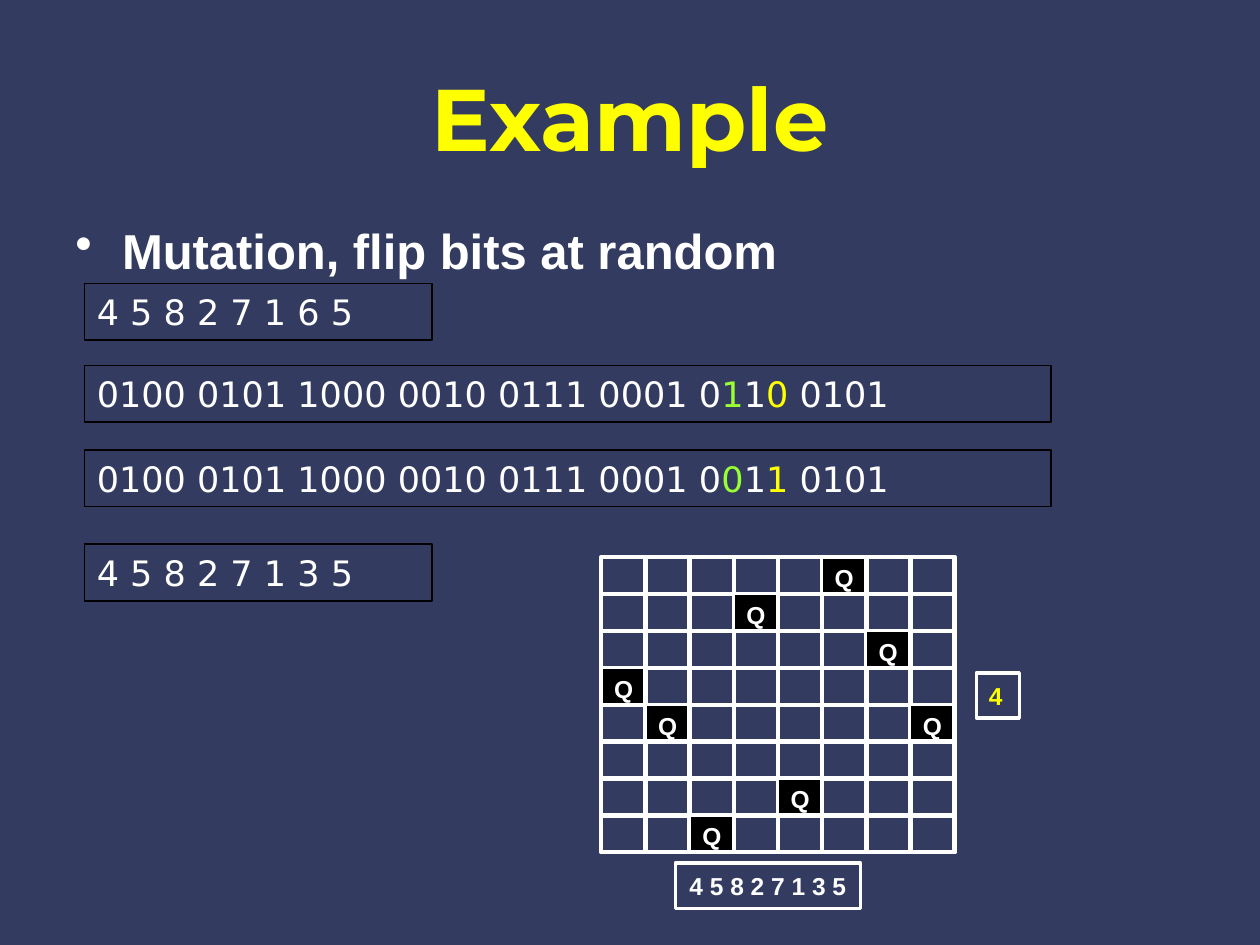
from lxml import etree
from pptx import Presentation
from pptx.dml.color import RGBColor
from pptx.enum.shapes import MSO_CONNECTOR, MSO_SHAPE
from pptx.enum.text import MSO_ANCHOR, MSO_AUTO_SIZE, PP_ALIGN
from pptx.oxml.ns import qn
from pptx.util import Inches, Pt

NAVY = RGBColor(0x33, 0x3C, 0x60)
YELLOW = RGBColor(0xFF, 0xFF, 0x00)
GREEN = RGBColor(0x99, 0xFF, 0x33)
WHITE = RGBColor(0xFF, 0xFF, 0xFF)
BLACK = RGBColor(0x00, 0x00, 0x00)

# Content
TITLE = "Example"
BULLET = "Mutation, flip bits at random"
PARENT = "4 5 8 2 7 1 6 5"
CHILD = "4 5 8 2 7 1 3 5"
BITS = "0100 0101 1000 0010 0111 0001 0"
FITNESS = "4"

# Top, width and coloured runs of each chromosome box
CHROMOSOMES = [
    (2.25, 2.76, [(PARENT, WHITE)]),
    (2.9, 7.67, [(BITS, WHITE), ("1", GREEN), ("1", WHITE), ("0", YELLOW), (" 0101", WHITE)]),
    (3.57, 7.67, [(BITS, WHITE), ("0", GREEN), ("1", WHITE), ("1", YELLOW), (" 0101", WHITE)]),
    (4.32, 2.76, [(CHILD, WHITE)]),
]

# Board geometry
SIZE = 8
BOARD_LEFT, BOARD_TOP, BOARD_WIDTH, BOARD_HEIGHT = 4.77, 4.42, 2.8, 2.34
COLUMN_STEP, ROW_STEP = BOARD_WIDTH / SIZE, BOARD_HEIGHT / SIZE
CELL_WIDTH, CELL_HEIGHT = 0.36, 0.3


def set_font(font, name, size, color=None, bold=False):
    font.name, font.size, font.bold = name, Pt(size), bold
    if color is not None:
        font.color.rgb = color


def add_box(shapes, left, top, width, height, line_color, line_width, fill=None):
    box = shapes.add_shape(MSO_SHAPE.RECTANGLE, Inches(left), Inches(top),
                           Inches(width), Inches(height))
    box.shadow.inherit = False
    box.line.color.rgb = line_color
    box.line.width = Pt(line_width)
    if fill is None:
        box.fill.background()
    else:
        box.fill.solid()
        box.fill.fore_color.rgb = fill
    return box


def write_label(box, text, color, align, anchor, wrap):
    frame = box.text_frame
    frame.word_wrap = wrap
    frame.vertical_anchor = anchor
    paragraph = frame.paragraphs[0]
    paragraph.text = text
    paragraph.alignment = align
    set_font(paragraph.font, "Arial", 14, color, True)


def add_line(shapes, x1, y1, x2, y2):
    line = shapes.add_connector(MSO_CONNECTOR.STRAIGHT, Inches(x1), Inches(y1),
                                Inches(x2), Inches(y2))
    line.line.color.rgb = WHITE
    line.line.width = Pt(2)
    etree.SubElement(line._element.spPr, qn("a:effectLst"))


def add_heading(slide):
    title = slide.shapes.title
    title.left, title.top = Inches(0.5), Inches(0.3)
    title.width, title.height = Inches(9), Inches(1.25)
    title.text_frame.vertical_anchor = MSO_ANCHOR.MIDDLE
    paragraph = title.text_frame.paragraphs[0]
    paragraph.text = TITLE
    paragraph.alignment = PP_ALIGN.CENTER
    set_font(paragraph.font, "Montserrat", 50, YELLOW, True)


def add_bullet(slide):
    box = slide.shapes.add_textbox(Inches(0.5), Inches(1.75), Inches(8.25), Inches(0.67))
    box.text_frame.word_wrap = True
    paragraph = box.text_frame.paragraphs[0]
    paragraph.text = BULLET
    paragraph.line_spacing = 0.9
    paragraph.space_before = Pt(5.6)
    set_font(paragraph.font, "Arial", 28, WHITE, True)
    properties = paragraph._p.get_or_add_pPr()
    properties.set("marL", str(Inches(0.37)))
    properties.set("indent", str(-Inches(0.37)))
    bullet = etree.Element(qn("a:buChar"), char="•")
    properties.find(qn("a:defRPr")).addprevious(bullet)


def add_chromosome(slide, top, width, runs):
    box = add_box(slide.shapes, 0.67, top, width, 0.45, BLACK, 1)
    frame = box.text_frame
    frame.word_wrap = True
    frame.auto_size = MSO_AUTO_SIZE.SHAPE_TO_FIT_TEXT
    frame.vertical_anchor = MSO_ANCHOR.MIDDLE
    paragraph = frame.paragraphs[0]
    paragraph.alignment = PP_ALIGN.LEFT
    set_font(paragraph.font, "DejaVu Sans", 20)
    for text, color in runs:
        run = paragraph.add_run()
        run.text = text
        set_font(run.font, "DejaVu Sans", 20, color)


def add_board(slide):
    shapes = slide.shapes.add_group_shape().shapes
    # Each digit of the child is the row of the queen in that column
    queens = [(int(digit) - 1, column) for column, digit in enumerate(CHILD.split())]
    cells = [(row, column) for row in range(SIZE) for column in range(SIZE)]
    # Queens come last so that they lie over their neighbours
    for row, column in sorted(cells, key=lambda cell: cell in queens):
        has_queen = (row, column) in queens
        cell = add_box(shapes, BOARD_LEFT + column * COLUMN_STEP, BOARD_TOP + row * ROW_STEP,
                       CELL_WIDTH, CELL_HEIGHT, WHITE, 2, BLACK if has_queen else None)
        if has_queen:
            write_label(cell, "Q", WHITE, PP_ALIGN.CENTER, MSO_ANCHOR.TOP, True)

    # Grid lines
    right, bottom = BOARD_LEFT + BOARD_WIDTH, BOARD_TOP + BOARD_HEIGHT
    for index in range(SIZE + 1):
        x = BOARD_LEFT + index * COLUMN_STEP
        y = BOARD_TOP + index * ROW_STEP
        add_line(shapes, x, BOARD_TOP, x, bottom)
        add_line(shapes, BOARD_LEFT, y, right, y)

    # Encoding below the board and fitness beside it
    encoding = add_box(shapes, 5.36, 6.85, 1.47, 0.36, WHITE, 2)
    write_label(encoding, CHILD, WHITE, PP_ALIGN.CENTER, MSO_ANCHOR.MIDDLE, False)
    fitness = add_box(shapes, 7.75, 5.34, 0.34, 0.36, WHITE, 2)
    write_label(fitness, FITNESS, YELLOW, PP_ALIGN.LEFT, MSO_ANCHOR.MIDDLE, False)
    for box in (encoding, fitness):
        box.text_frame.auto_size = MSO_AUTO_SIZE.SHAPE_TO_FIT_TEXT


def main():
    presentation = Presentation()
    presentation.slide_width, presentation.slide_height = Inches(10), Inches(7.5)
    slide = presentation.slides.add_slide(presentation.slide_layouts[5])
    slide.background.fill.solid()
    slide.background.fill.fore_color.rgb = NAVY

    add_heading(slide)
    add_bullet(slide)
    for top, width, runs in CHROMOSOMES:
        add_chromosome(slide, top, width, runs)
    add_board(slide)
    presentation.save("out.pptx")


if __name__ == "__main__":
    main()
